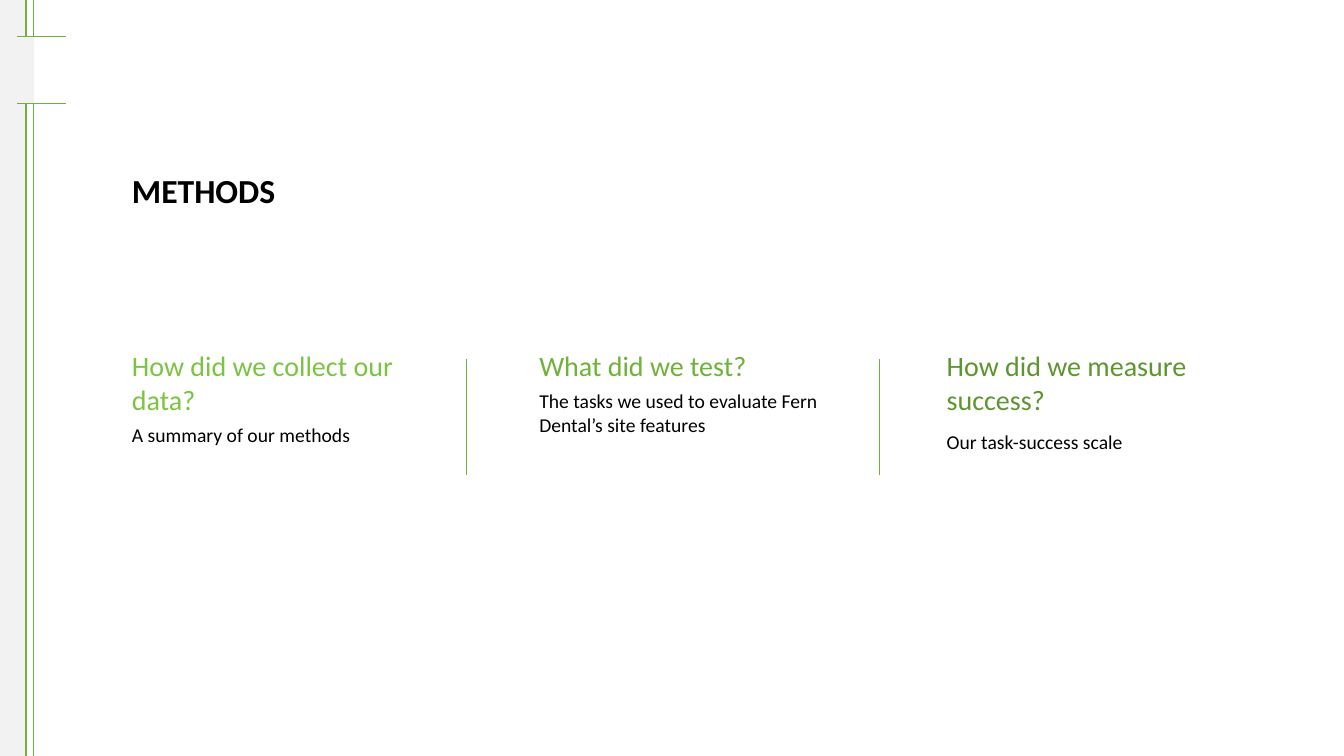
from lxml import etree
from pptx import Presentation
from pptx.dml.color import RGBColor
from pptx.enum.shapes import MSO_CONNECTOR, MSO_SHAPE
from pptx.enum.text import MSO_ANCHOR
from pptx.oxml.ns import qn
from pptx.util import Inches, Pt

STRAIGHT = MSO_CONNECTOR.STRAIGHT
RECTANGLE = MSO_SHAPE.RECTANGLE
TOP, MIDDLE = MSO_ANCHOR.TOP, MSO_ANCHOR.MIDDLE

SLIDE_W, SLIDE_H = 13.33, 7.5
FONT = "Calibri"
BLACK, GREEN, RAIL_GREY = "000000", "6FB238", "F2F2F2"

MARGIN = 1.21
COLUMN_STEP, COLUMN_W = 4.04, 3.01
COLUMN_TOP, COLUMN_H = 3.41, 1.75
DIVIDER_LEFT, DIVIDER_STEP = 4.62, 4.1
DIVIDER_TOP, DIVIDER_BOTTOM = 3.56, 4.71

RAIL_W, THIN_RAIL_X = 0.26, 0.33
GAP_TOP, GAP_BOTTOM = 0.36, 1.03
TICK_LEFT, TICK_RIGHT = 0.17, 0.65

# heading, heading colour, summary, space before the summary
QUESTIONS = [
    ("How did we collect our data?", "7BC441", "A summary of our methods", 5),
    ("What did we test?", GREEN,
     "The tasks we used to evaluate Fern Dental’s site features", 5),
    ("How did we measure success?", "5D952F", "Our task-success scale", 10),
]


def rgb(hex_colour):
    return RGBColor.from_string(hex_colour)


def add_block(slide, left, top, width, height):
    block = slide.shapes.add_shape(
        RECTANGLE, Inches(left), Inches(top), Inches(width), Inches(height))
    block.shadow.inherit = False
    block.fill.solid()
    block.fill.fore_color.rgb = rgb(RAIL_GREY)
    block.line.fill.background()


def add_rule(slide, start, end, weight):
    rule = slide.shapes.add_connector(
        STRAIGHT, *(Inches(value) for value in (*start, *end)))
    rule.line.color.rgb = rgb(GREEN)
    rule.line.width = Pt(weight)
    etree.SubElement(rule._element.spPr, qn("a:effectLst"))


def add_text_area(slide, left, top, width, height, anchor=TOP):
    area = slide.shapes.add_textbox(
        Inches(left), Inches(top), Inches(width), Inches(height))
    frame = area.text_frame
    frame.word_wrap = True
    frame.vertical_anchor = anchor
    return frame


def write(paragraph, text, size, colour, bold=False, before=0):
    paragraph.text = text
    paragraph.space_before = Pt(before)
    font = paragraph.runs[0].font
    font.name, font.size, font.bold = FONT, Pt(size), bold
    font.color.rgb = rgb(colour)


def add_title(slide, text):
    title = add_text_area(slide, MARGIN, 1.5, 4.24, 0.83, MIDDLE).paragraphs[0]
    write(title, text, 24, BLACK, bold=True)
    title.line_spacing = 0.9


def add_question(slide, column, heading, colour, summary, summary_gap):
    frame = add_text_area(slide, MARGIN + column * COLUMN_STEP, COLUMN_TOP,
                          COLUMN_W, COLUMN_H)
    write(frame.paragraphs[0], heading, 20, colour, before=10)
    write(frame.add_paragraph(), summary, 14, BLACK, before=summary_gap)


def add_side_rail(slide):
    add_block(slide, 0, 0, RAIL_W, SLIDE_H)
    add_rule(slide, (RAIL_W, 0), (RAIL_W, SLIDE_H), 1.5)
    add_block(slide, 0.23, GAP_TOP, 0.11, GAP_BOTTOM - GAP_TOP)
    for top, bottom in ((0, GAP_TOP), (GAP_BOTTOM, SLIDE_H)):
        add_rule(slide, (THIN_RAIL_X, top), (THIN_RAIL_X, bottom), 0.25)
    for y in (GAP_TOP, GAP_BOTTOM):
        add_rule(slide, (TICK_LEFT, y), (TICK_RIGHT, y), 0.5)


def main():
    deck = Presentation()
    deck.slide_width, deck.slide_height = Inches(SLIDE_W), Inches(SLIDE_H)
    slide = deck.slides.add_slide(deck.slide_layouts[6])

    add_side_rail(slide)
    add_title(slide, "METHODS")
    for column, question in enumerate(QUESTIONS):
        add_question(slide, column, *question)
    for divider in range(len(QUESTIONS) - 1):
        x = DIVIDER_LEFT + divider * DIVIDER_STEP
        add_rule(slide, (x, DIVIDER_TOP), (x, DIVIDER_BOTTOM), 0.25)

    deck.save("out.pptx")


if __name__ == "__main__":
    main()
